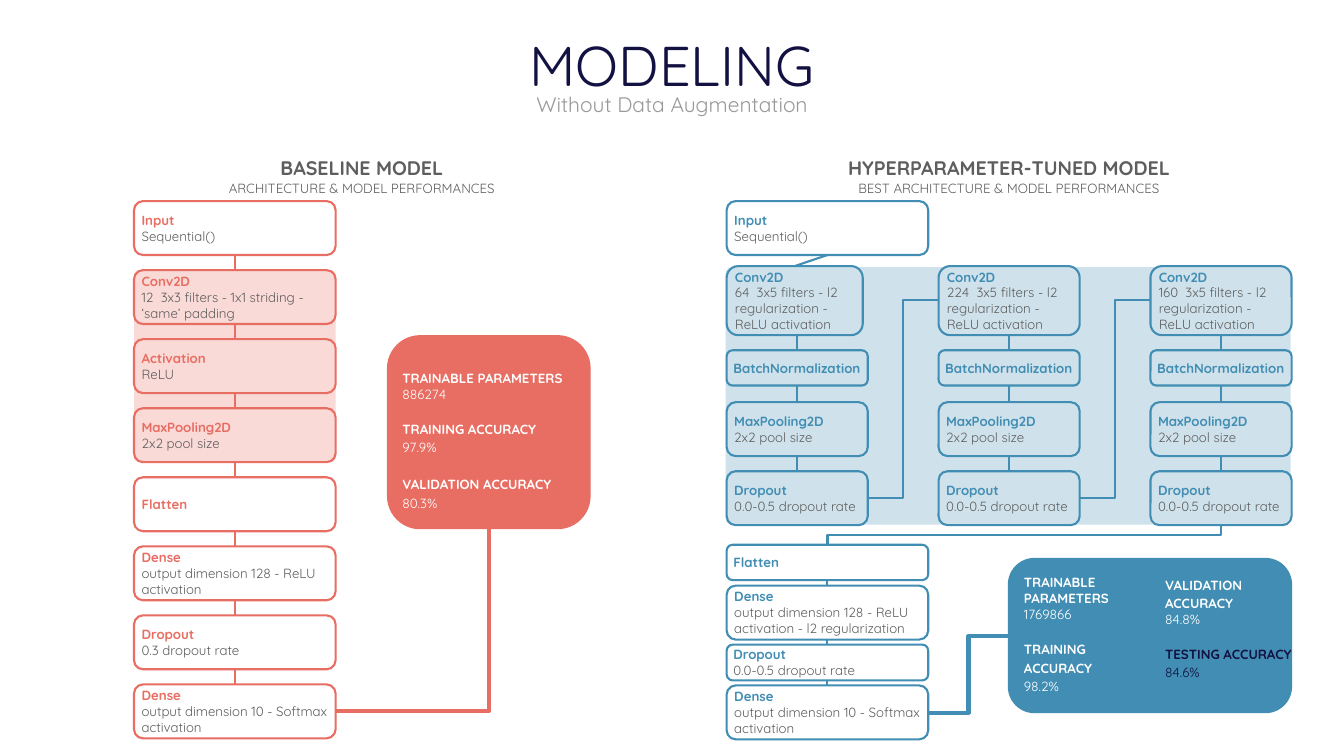
from dataclasses import dataclass

from lxml.etree import SubElement
from pptx import Presentation
from pptx.dml.color import RGBColor
from pptx.enum.shapes import MSO_CONNECTOR, MSO_SHAPE
from pptx.enum.text import MSO_ANCHOR, MSO_AUTO_SIZE, PP_ALIGN
from pptx.oxml.ns import qn
from pptx.util import Inches, Pt


@dataclass(frozen=True)
class Theme:
    font: str = "Quicksand"
    navy: str = "121142"
    gray: str = "5E5E5E"
    light_gray: str = "999999"
    white: str = "FFFFFF"
    red: str = "E86D62"
    blue: str = "418DB3"
    title: int = 80
    subtitle: int = 30
    heading: int = 28
    body: int = 19
    thin: int = 3
    thick: int = 6


THEME = Theme()

# Content
TITLE, SUBTITLE = "MODELING", "Without Data Augmentation"
HEADINGS = [
    (2.66, "BASELINE MODEL", "ARCHITECTURE & MODEL PERFORMANCES"),
    (15.5, "HYPERPARAMETER-TUNED MODEL", "BEST ARCHITECTURE & MODEL PERFORMANCES"),
]
BASELINE_LAYERS = [
    ("Input", "Sequential()"),
    ("Conv2D", "12  3x3 filters - 1x1 striding - ‘same’ padding"),
    ("Activation", "ReLU"),
    ("MaxPooling2D", "2x2 pool size"),
    ("Flatten", ""),
    ("Dense", "output dimension 128 - ReLU activation"),
    ("Dropout", "0.3 dropout rate"),
    ("Dense", "output dimension 10 - Softmax activation"),
]
FILTER_COUNTS = [64, 224, 160]
# Rows of each block: top, height, name, detail
BLOCK_ROWS = [
    (5.28, 1.37, "Conv2D", "{}  3x5 filters - l2 regularization - ReLU activation"),
    (6.95, 0.7, "BatchNormalization", ""),
    (7.98, 1.07, "MaxPooling2D", "2x2 pool size"),
    (9.35, 1.07, "Dropout", "0.0-0.5 dropout rate"),
]
TUNED_TAIL = [
    (10.81, 0.7, "Flatten", ""),
    (11.62, 1.07, "Dense", "output dimension 128 - ReLU activation - l2 regularization"),
    (12.79, 0.71, "Dropout", "0.0-0.5 dropout rate"),
    (13.6, 1.07, "Dense", "output dimension 10 - Softmax activation"),
]
# Scores: label, value, colour, line spacing of label and value, space before
BASELINE_SCORES = [
    ("TRAINABLE PARAMETERS", "886274", THEME.white, 1, 1, 0),
    ("TRAINING ACCURACY", "97.9%", THEME.white, 1.15, 1.15, 24),
    ("VALIDATION ACCURACY", "80.3%", THEME.white, 1.15, 1.15, 27),
]
TUNED_SCORES = [
    [("TRAINABLE PARAMETERS", "1769866", THEME.white, 1, 1, 0),
     ("TRAINING ACCURACY", "98.2%", THEME.white, 1.15, 1.15, 24)],
    [("VALIDATION ACCURACY", "84.8%", THEME.white, 1.15, 1, 0),
     ("TESTING ACCURACY", "84.6%", THEME.navy, 1.15, 1.15, 24)],
]

# Grid, in inches
BOX_WIDTH, BOX_HEIGHT, FIRST_ROW = 4, 1.07, 3.99
BASELINE_LEFT, BASELINE_PITCH = 2.66, 1.37
TUNED_LEFT, BLOCK_WIDTH, BLOCK_PITCH = 14.42, 2.8, 4.205

deck = Presentation()
deck.slide_width, deck.slide_height = Inches(26.67), Inches(15)
page = deck.slides.add_slide(deck.slide_layouts[5])


def line(text, size, color, bold=False, **paragraph_format):
    return text, {"size": Pt(size), "bold": bold, "name": THEME.font}, color, paragraph_format


def write(shape, lines, anchor=MSO_ANCHOR.TOP, margin_top=0.1):
    frame = shape.text_frame
    settings = {"word_wrap": True, "auto_size": MSO_AUTO_SIZE.NONE, "vertical_anchor": anchor,
                "margin_left": Inches(0.1), "margin_right": Inches(0.1),
                "margin_top": Inches(margin_top), "margin_bottom": Inches(0.1)}
    for name, value in settings.items():
        setattr(frame, name, value)
    for index, (text, font, color, paragraph_format) in enumerate(lines):
        para = frame.add_paragraph() if index else frame.paragraphs[0]
        for name, value in ({"alignment": PP_ALIGN.LEFT} | paragraph_format).items():
            setattr(para, name, value)
        span = para.add_run()
        span.text = text
        for name, value in font.items():
            setattr(span.font, name, value)
        span.font.color.rgb = RGBColor.from_string(color)


def text_box(left, top, width, height, lines):
    box = page.shapes.add_textbox(*map(Inches, (left, top, width, height)))
    write(box, lines)


def rounded(left, top, width, height, fill=None, outline=None, alpha=None, corner=0.167):
    box = page.shapes.add_shape(MSO_SHAPE.ROUNDED_RECTANGLE,
                                *map(Inches, (left, top, width, height)))
    box.shadow.inherit = False
    box.adjustments[0] = corner
    if fill:
        box.fill.solid()
        box.fill.fore_color.rgb = RGBColor.from_string(fill)
    else:
        box.fill.background()
    if alpha:
        color = box.fill._xPr.find(f".//{qn('a:srgbClr')}")
        SubElement(color, qn("a:alpha"), val=str(alpha * 1000))
    if outline:
        box.line.color.rgb = RGBColor.from_string(outline)
        box.line.width = Pt(THEME.thin)
    else:
        box.line.fill.background()
    return box


def layer(left, top, width, height, name, detail, color, fill=None):
    lines = [line(name, THEME.body, color, True)]
    if detail:
        lines.append(line(detail, THEME.body, THEME.gray))
    write(rounded(left, top, width, height, fill, color), lines, MSO_ANCHOR.MIDDLE)


def connect(start, end, color, width=THEME.thin, kind=MSO_CONNECTOR.STRAIGHT):
    link = page.shapes.add_connector(kind, *map(Inches, (*start, *end)))
    link.line.color.rgb = RGBColor.from_string(color)
    link.line.width = Pt(width)
    SubElement(link._element.spPr, qn("a:effectLst"))
    return link._element.spPr


def score_lines(scores):
    lines = []
    for label, value, color, label_spacing, value_spacing, gap in scores:
        lines += [line(label, THEME.body, color, True, line_spacing=label_spacing,
                       space_before=Pt(gap)),
                  line(value, THEME.body, color, line_spacing=value_spacing)]
    return lines


# Tinted groups and the line behind the tuned tail
tail_center = TUNED_LEFT + BOX_WIDTH / 2
connect((tail_center, 10.81), (tail_center, 14.67), THEME.blue)
rounded(BASELINE_LEFT, 5.36, BOX_WIDTH, 3.81, THEME.red, alpha=25, corner=0.024)
rounded(14.4, 5.3, 11.21, 5.11, THEME.blue, alpha=25, corner=0.024)

# Title and headings
title = page.shapes.title
for name, value in {"left": 8.54, "top": 0.5, "width": 9.59, "height": 1.55}.items():
    setattr(title, name, Inches(value))
centered = {"alignment": PP_ALIGN.CENTER}
write(title, [line(TITLE, THEME.title, THEME.navy, **centered)])
text_box(8.54, 1.71, 9.59, 0.71,
         [line(SUBTITLE, THEME.subtitle, THEME.light_gray, **centered)])
for left, heading, caption in HEADINGS:
    text_box(left, 3, 9.04, 0.99, [line(heading, THEME.heading, THEME.gray, True, **centered),
                                   line(caption, THEME.body, THEME.gray, **centered)])

# Baseline model
center = BASELINE_LEFT + BOX_WIDTH / 2
for row, (name, detail) in enumerate(BASELINE_LAYERS):
    top = FIRST_ROW + row * BASELINE_PITCH
    layer(BASELINE_LEFT, top, BOX_WIDTH, BOX_HEIGHT, name, detail, THEME.red)
    if row:
        connect((center, top - BASELINE_PITCH + BOX_HEIGHT), (center, top), THEME.red)
card = rounded(7.7, 6.67, 4, 3.81, THEME.red, THEME.red)
write(card, score_lines(BASELINE_SCORES), MSO_ANCHOR.MIDDLE, margin_top=0.43)
corner_link = connect((BASELINE_LEFT + BOX_WIDTH, top + BOX_HEIGHT / 2), (9.7, 10.47),
                      THEME.red, THEME.thick, MSO_CONNECTOR.ELBOW)
corner_link.find(qn("a:prstGeom")).set("prst", "bentConnector2")

# Tuned model: input and three convolution blocks
layer(TUNED_LEFT, FIRST_ROW, BOX_WIDTH, BOX_HEIGHT, "Input", "Sequential()", THEME.blue)
connect((tail_center, FIRST_ROW + BOX_HEIGHT), (15.77, 5.28), THEME.blue)
for column, filters in enumerate(FILTER_COUNTS):
    left = TUNED_LEFT + column * BLOCK_PITCH
    center = left + BLOCK_WIDTH / 2
    for row, (top, height, name, detail) in enumerate(BLOCK_ROWS):
        width = BLOCK_WIDTH if column or row else 2.7
        layer(left, top, width, height, name, detail.format(filters), THEME.blue)
        if row:
            above = BLOCK_ROWS[row - 1]
            connect((center, above[0] + above[1]), (center, top), THEME.blue)
    if column:
        connect((left - BLOCK_PITCH + BLOCK_WIDTH, 9.88), (left, 5.96), THEME.blue,
                kind=MSO_CONNECTOR.ELBOW)

# Elbow from the last block down to Flatten, turned a quarter
drop, span_x = 0.4, center - tail_center
mid_x, mid_y = (center + tail_center) / 2, 10.61
turned = connect((mid_x - drop / 2, mid_y - span_x / 2), (mid_x + drop / 2, mid_y + span_x / 2),
                 THEME.blue, kind=MSO_CONNECTOR.ELBOW)
turned.find(qn("a:xfrm")).set("rot", "5400000")

# Tuned model: tail and scores
for top, height, name, detail in TUNED_TAIL:
    layer(TUNED_LEFT, top, BOX_WIDTH, height, name, detail, THEME.blue, THEME.white)
rounded(20.02, 11.09, 5.6, 3.04, THEME.blue, THEME.blue)
for column, scores in enumerate(TUNED_SCORES):
    text_box(20.22 + column * 2.8, 11.3, 2.8, 2.63, score_lines(scores))
connect((TUNED_LEFT + BOX_WIDTH, 14.14), (20.02, 12.62), THEME.blue, THEME.thick,
        MSO_CONNECTOR.ELBOW)

deck.save("out.pptx")
